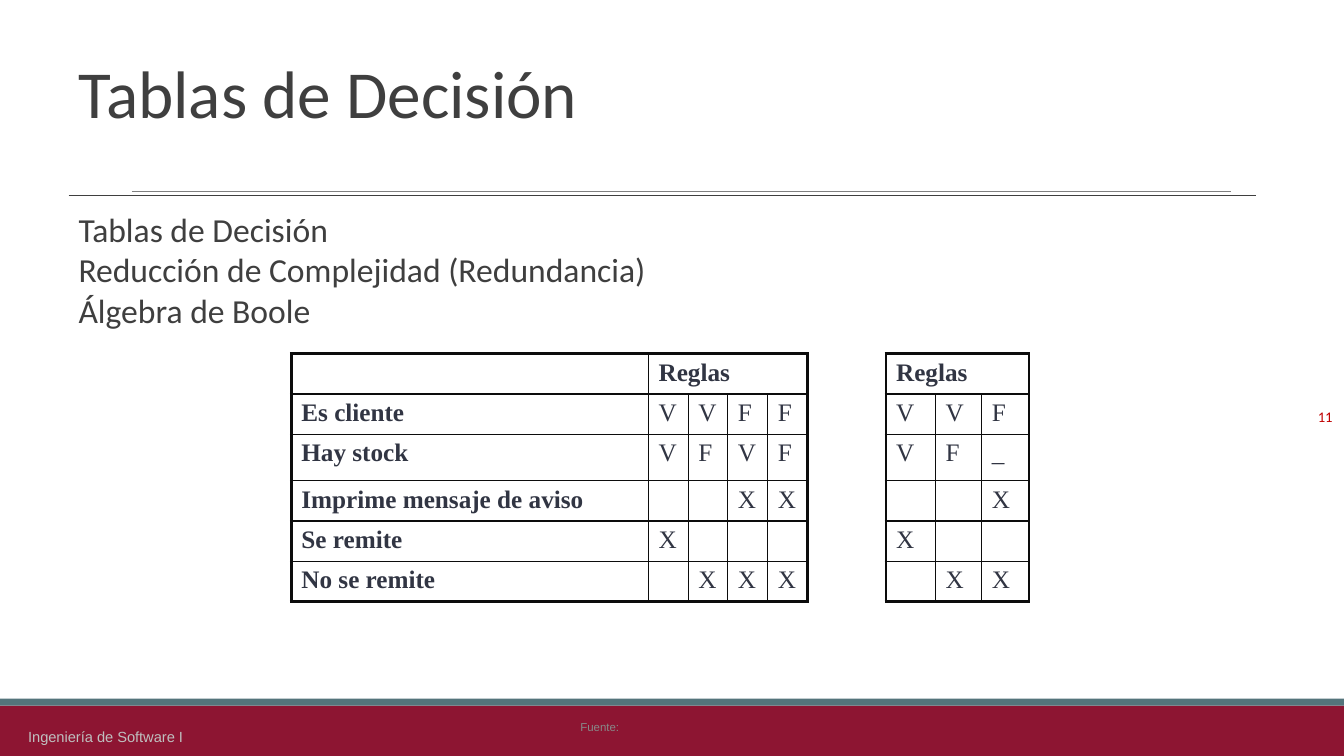
"""Builds the decision tables slide."""
from lxml.etree import SubElement
from pptx import Presentation
from pptx.dml.color import RGBColor
from pptx.enum.shapes import MSO_CONNECTOR, MSO_SHAPE
from pptx.enum.text import MSO_ANCHOR, PP_ALIGN
from pptx.oxml import parse_xml
from pptx.oxml.ns import nsdecls, qn
from pptx.util import Pt

CRIMSON = RGBColor(0x8D, 0x15, 0x32)
TEAL = RGBColor(0x54, 0x74, 0x7B)
RULE_GRAY = RGBColor(0x7F, 0x7F, 0x7F)
DARK = RGBColor(0x3F, 0x3F, 0x3F)
SOURCE_GRAY = RGBColor(0x88, 0x88, 0x88)
FOOTER_GRAY = RGBColor(0xBF, 0xBF, 0xBF)
NUMBER_RED = RGBColor(0xC0, 0x00, 0x00)
TABLE_INK = RGBColor(0x31, 0x35, 0x43)
BORDER = RGBColor(0x0C, 0x0C, 0x0C)

WIDTH, HEIGHT = 960, 540
THIN, THICK = 1, 2.25

BANDS = [(504, 36, CRIMSON), (499, 5, TEAL)]
RULES = [(94.3, 879.1, 136.8, RULE_GRAY), (49, 897.1, 139.5, DARK)]
TITLE = "Tablas de Decisión"
TOPICS = [
    ("Tablas de Decisión", 5),
    ("Reducción de Complejidad (Redundancia)", 20),
    ("Álgebra de Boole", 32.4),
]
SOURCE = "Fuente:"
COURSE = "Ingeniería de Software I"
NUMBER = "11"

FULL_RULES = {
    "left": 208.1,
    "columns": [255.2, 28.3, 28.3, 28.6, 28.3],
    "rows": [28.1, 23, 33.1, 28.1, 22.3, 28.8],
    "header": 1,
    "cells": [
        ["", "Reglas", "", "", ""],
        ["Es cliente", "V", "V", "F", "F"],
        ["Hay stock", "V", "F", "V", "F"],
        ["Imprime mensaje de aviso", "", "", "X", "X"],
        ["Se remite", "X", "", "", ""],
        ["No se remite", "", "X", "X", "X"],
    ],
}
REDUCED_RULES = {
    "left": 632.9,
    "columns": [35.3, 33.1, 33.8],
    "rows": [22.3, 23, 33.1, 28.1, 22.3, 28.8],
    "header": 0,
    "cells": [
        ["Reglas", "", ""],
        ["V", "V", "F"],
        ["V", "F", "_"],
        ["", "", "X"],
        ["X", "", ""],
        ["", "X", "X"],
    ],
}
TABLE_TOP = 252.6


def write(paragraph, text, size, font, color, bold=False):
    run = paragraph.add_run()
    run.text = text
    run.font.size = Pt(size)
    run.font.name = font
    run.font.bold = bold
    run.font.color.rgb = color


def add_frame(slide, left, top, width, height, anchor=MSO_ANCHOR.TOP):
    frame = slide.shapes.add_textbox(Pt(left), Pt(top), Pt(width), Pt(height)).text_frame
    frame.word_wrap = True
    frame.vertical_anchor = anchor
    return frame


def add_band(slide, top, height, color):
    band = slide.shapes.add_shape(MSO_SHAPE.RECTANGLE, 0, Pt(top), Pt(WIDTH), Pt(height))
    band.shadow.inherit = False
    band.fill.solid()
    band.fill.fore_color.rgb = color
    band.line.fill.background()


def add_rule(slide, start, end, y, color):
    rule = slide.shapes.add_connector(MSO_CONNECTOR.STRAIGHT, Pt(start), Pt(y), Pt(end), Pt(y))
    rule.line.color.rgb = color
    rule.line.width = Pt(0.75)
    SubElement(rule._element.spPr, qn("a:effectLst"))


def set_borders(cell, widths):
    properties = cell._tc.get_or_add_tcPr()
    for position, (side, width) in enumerate(zip("LRTB", widths)):
        properties.insert(position, parse_xml(
            f'<a:ln{side} {nsdecls("a")} w="{Pt(width)}"><a:solidFill>'
            f'<a:srgbClr val="{BORDER}"/></a:solidFill></a:ln{side}>'))


def add_rules_table(slide, content):
    columns, rows, header = content["columns"], content["rows"], content["header"]
    last_row, last_column = len(rows) - 1, len(columns) - 1
    table = slide.shapes.add_table(
        len(rows), len(columns), Pt(content["left"]), Pt(TABLE_TOP),
        Pt(sum(columns)), Pt(sum(rows))).table
    table.first_row = table.horz_banding = False
    for column, width in zip(table.columns, columns):
        column.width = Pt(width)
    for row, height in zip(table.rows, rows):
        row.height = Pt(height)
    table.cell(0, header).merge(table.cell(0, last_column))
    for r, texts in enumerate(content["cells"]):
        for c, text in enumerate(texts):
            cell = table.cell(r, c)
            cell.fill.background()
            at_right = c == last_column or cell.is_merge_origin
            edges = (c == 0, at_right, r == 0, r == last_row)
            set_borders(cell, [THICK if edge else THIN for edge in edges])
            paragraph = cell.text_frame.paragraphs[0]
            if text:
                write(paragraph, text, 18, "Times New Roman", TABLE_INK, r == 0 or c < header)
            else:
                SubElement(paragraph._p, qn("a:endParaRPr")).set("sz", "1200")


def main():
    presentation = Presentation()
    presentation.slide_width, presentation.slide_height = Pt(WIDTH), Pt(HEIGHT)
    slide = presentation.slides.add_slide(presentation.slide_layouts[6])
    for band in BANDS:
        add_band(slide, *band)
    for rule in RULES:
        add_rule(slide, *rule)

    source = add_frame(slide, 407.5, 510.5, 51.8, 17.3)
    write(source.paragraphs[0], SOURCE, 8.2, "Arial", SOURCE_GRAY)

    title = add_frame(slide, 49, 50.4, 848.2, 89.3, MSO_ANCHOR.MIDDLE)
    title.margin_bottom = Pt(53.6)
    title.paragraphs[0].line_spacing = 0.85
    write(title.paragraphs[0], TITLE, 48, "Calibri", DARK)

    number = add_frame(slide, 728.6, 224.6, 230.4, 82.8, MSO_ANCHOR.BOTTOM)
    number.paragraphs[0].alignment = PP_ALIGN.RIGHT
    write(number.paragraphs[0], NUMBER, 10.5, "Calibri", NUMBER_RED)

    topics = add_frame(slide, 49, 149.8, 771.1, 352.8)
    for level, (topic, indent) in enumerate(TOPICS):
        paragraph = topics.add_paragraph() if level else topics.paragraphs[0]
        paragraph.level = level
        paragraph.line_spacing = 0.85
        paragraph.space_before = Pt(4.5 if level else 0)
        properties = paragraph._p.get_or_add_pPr()
        properties.set("marL", str(Pt(indent)))
        properties.set("indent", str(-Pt(indent)))
        write(paragraph, topic, 24, "Calibri", DARK)

    course = add_frame(slide, 13, 516.2, 169.9, 16.6)
    write(course.paragraphs[0], COURSE, 10.5, "Arial", FOOTER_GRAY)

    for content in (FULL_RULES, REDUCED_RULES):
        add_rules_table(slide, content)
    presentation.save("out.pptx")


if __name__ == "__main__":
    main()
